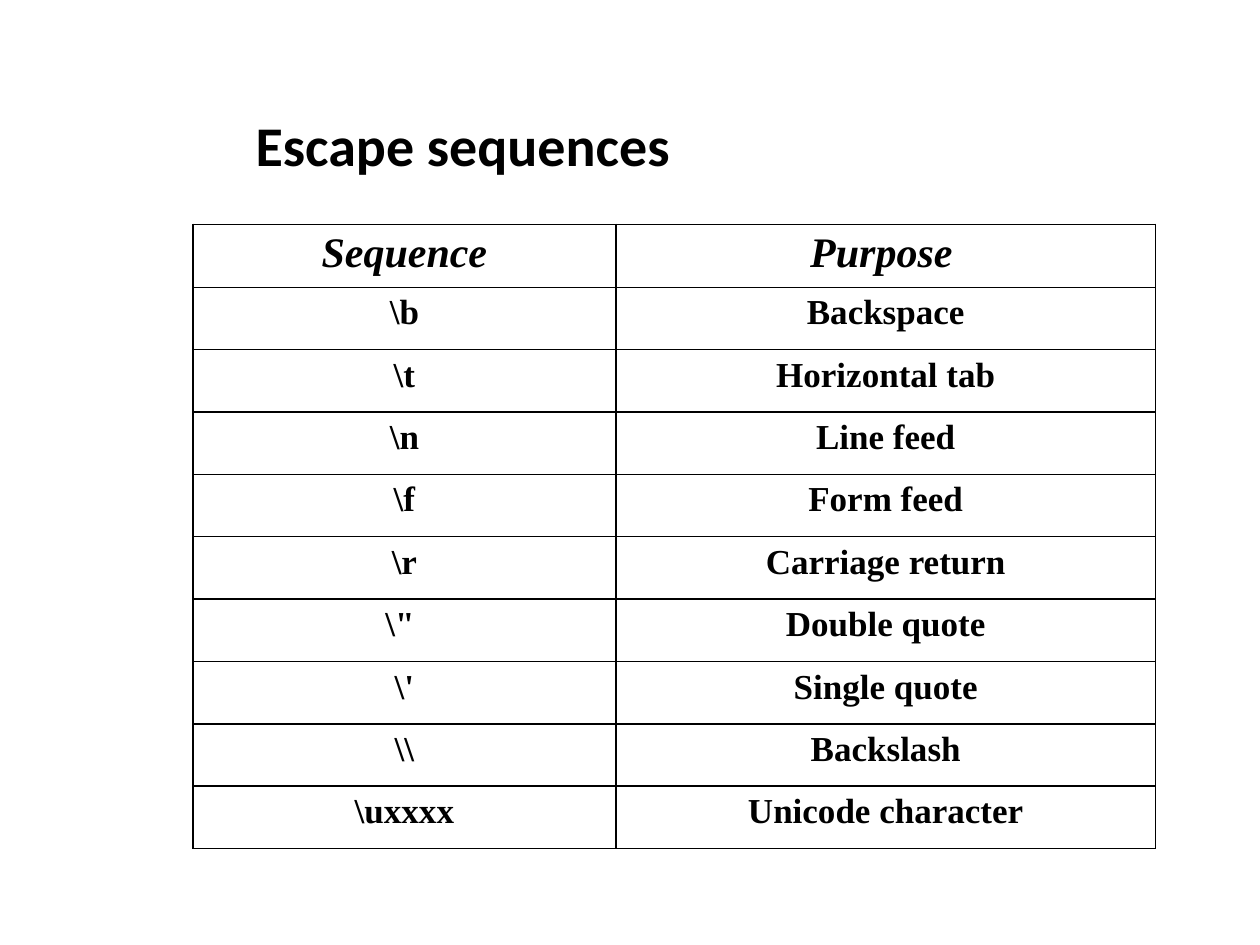
from typing import NamedTuple

from lxml import etree
from pptx import Presentation
from pptx.dml.color import RGBColor
from pptx.enum.text import MSO_ANCHOR, PP_ALIGN
from pptx.oxml.ns import qn
from pptx.util import Inches, Pt

LEFT, CENTER = PP_ALIGN.LEFT, PP_ALIGN.CENTER
MIDDLE = MSO_ANCHOR.MIDDLE
BLACK, WHITE = "000000", "FFFFFF"
TITLE_FONT, TABLE_FONT = "Calibri", "Times New Roman"
COL_WIDTHS = (3.36, 4.28)
TABLE_HEIGHT = 4.95


class Escape(NamedTuple):
    sequence: str
    purpose: str


HEADER = Escape("Sequence", "Purpose")
ESCAPES = [
    Escape(r"\b", "Backspace"),
    Escape(r"\t", "Horizontal tab"),
    Escape(r"\n", "Line feed"),
    Escape(r"\f", "Form feed"),
    Escape(r"\r", "Carriage return"),
    Escape(r'\" ', "Double quote"),
    Escape(r"\'", "Single quote"),
    Escape(r"\\", "Backslash"),
    Escape(r"\uxxxx", "Unicode character"),
]


def rgb(color: str) -> RGBColor:
    return RGBColor.from_string(color)


def add_text(p, text: str, *, size: float = 20, font: str = TABLE_FONT,
             color: str = BLACK, italic: bool = False, align=CENTER) -> None:
    p.alignment = align
    r = p.add_run()
    r.text = text
    r.font.size = Pt(size)
    r.font.name = font
    r.font.bold = True
    r.font.italic = italic
    r.font.color.rgb = rgb(color)


def set_borders(cell, color: str = BLACK, width: float = 1) -> None:
    tc_pr = cell._tc.get_or_add_tcPr()
    for i, side in enumerate(("lnL", "lnR", "lnT", "lnB")):
        ln = etree.Element(qn(f"a:{side}"), w=str(Pt(width)))
        fill = etree.SubElement(ln, qn("a:solidFill"))
        etree.SubElement(fill, qn("a:srgbClr"), val=color)
        tc_pr.insert(i, ln)  # borders come before the cell fill


def add_title(slide, text: str) -> None:
    s = slide.shapes.add_textbox(Inches(1.93), Inches(0.52), Inches(7.02), Inches(1.25))
    tf = s.text_frame
    tf.word_wrap = True
    tf.vertical_anchor = MIDDLE
    add_text(tf.paragraphs[0], text, size=32, font=TITLE_FONT, align=LEFT)


def add_escape_table(slide, header: Escape, escapes: list[Escape]) -> None:
    rows = [header, *escapes]
    table = slide.shapes.add_table(
        len(rows), len(COL_WIDTHS), Inches(1.53), Inches(1.78),
        Inches(sum(COL_WIDTHS)), Inches(TABLE_HEIGHT)).table
    table.first_row = table.horz_banding = False
    for col, width in zip(table.columns, COL_WIDTHS):
        col.width = Inches(width)
    for i, row in enumerate(rows):
        table.rows[i].height = Inches(TABLE_HEIGHT / len(rows))
        for j, text in enumerate(row):
            cell = table.cell(i, j)
            cell.fill.solid()
            cell.fill.fore_color.rgb = rgb(WHITE)
            set_borders(cell)
            p = cell.text_frame.paragraphs[0]
            if i == 0:
                add_text(p, text, size=24, italic=True)
            else:
                add_text(p, text)
    # The last heading ends in a smaller upright space
    add_text(table.cell(0, 1).text_frame.paragraphs[0], " ")


def main() -> None:
    prs = Presentation()
    prs.slide_width, prs.slide_height = Inches(10), Inches(7.5)
    slide = prs.slides.add_slide(prs.slide_layouts[6])
    add_title(slide, "Escape sequences")
    add_escape_table(slide, HEADER, ESCAPES)
    prs.save("out.pptx")


if __name__ == "__main__":
    main()
